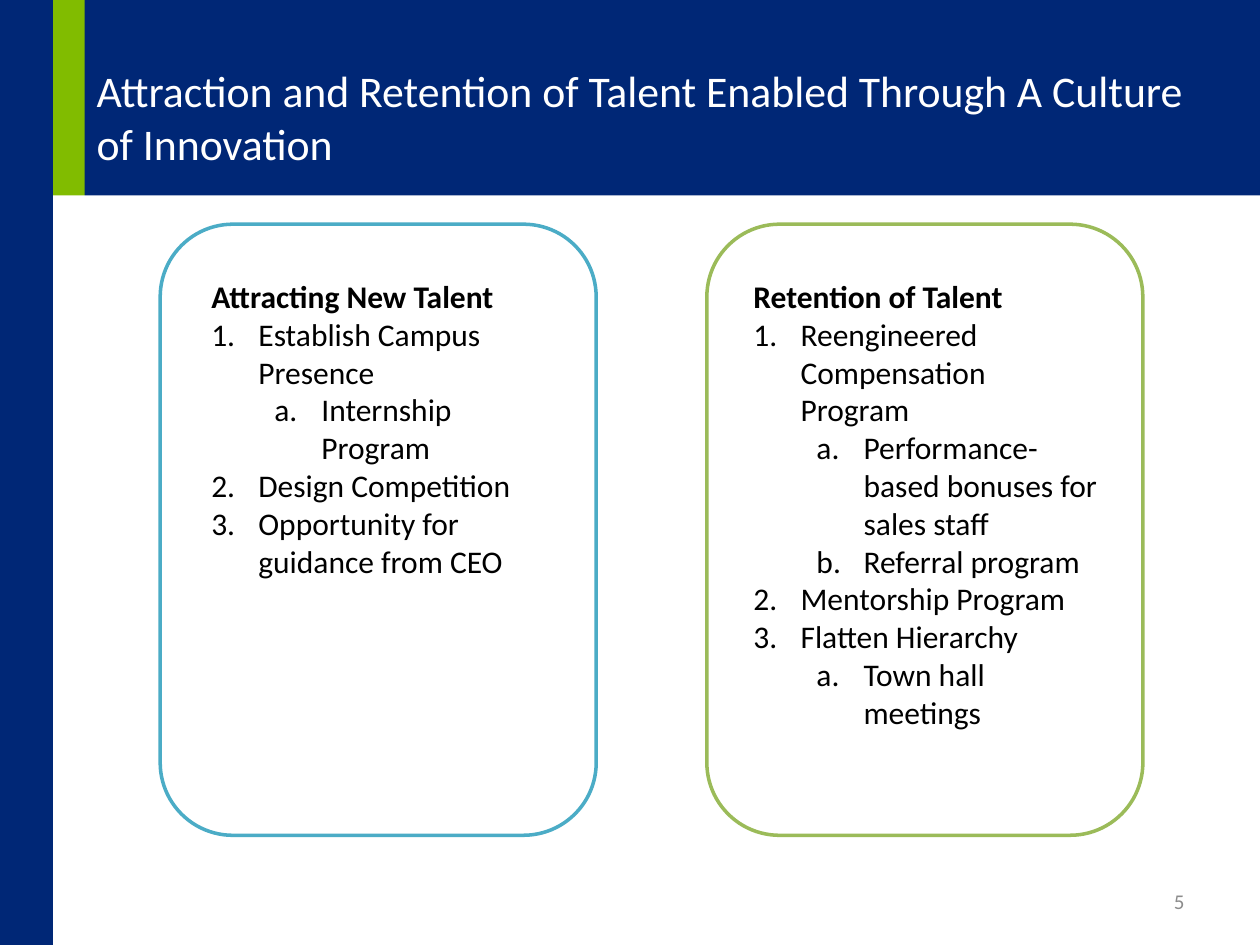
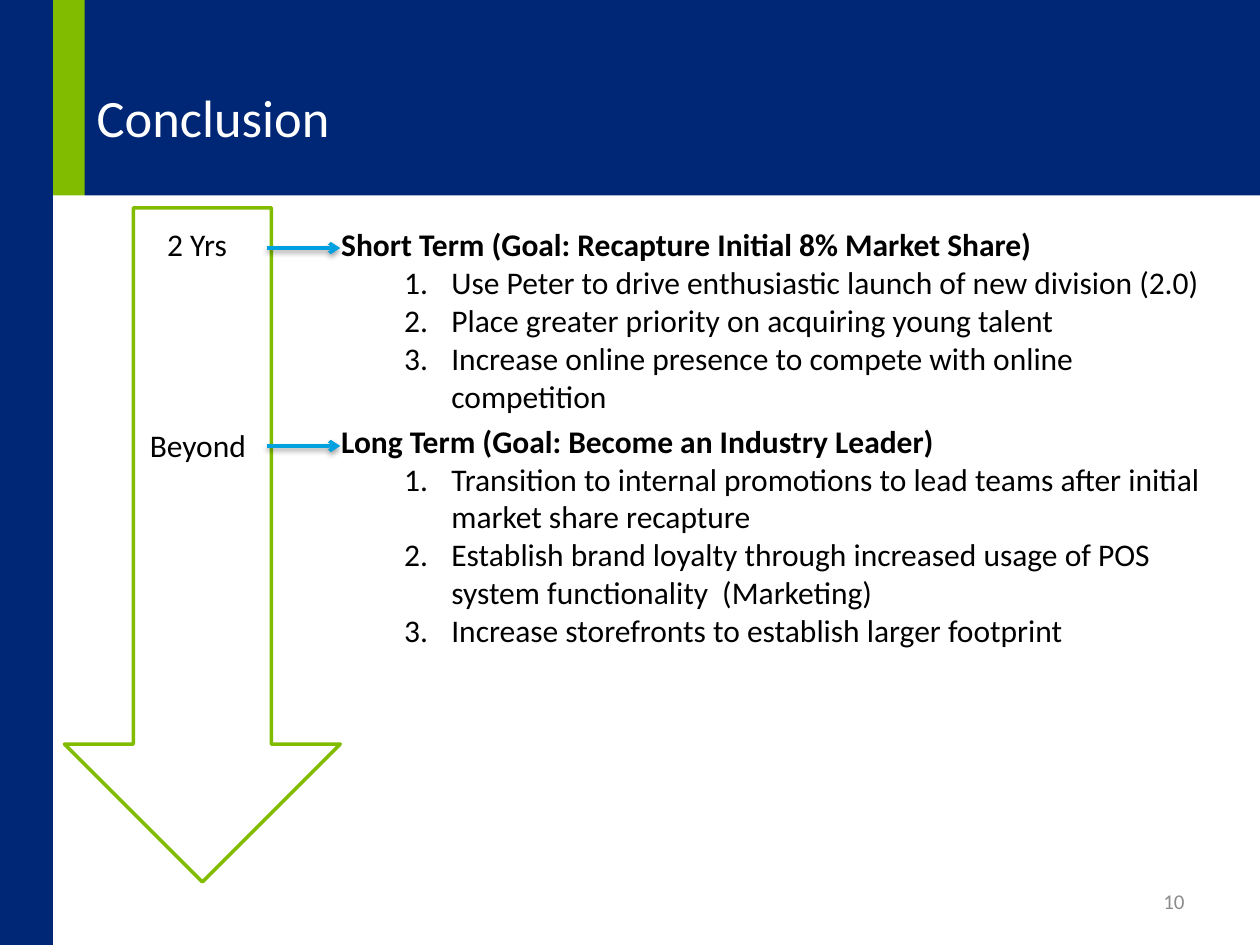
from lxml import etree
from pptx import Presentation
from pptx import util as u
from pptx.dml.color import RGBColor
from pptx.enum import shapes, text
from pptx.oxml import parse_xml
from pptx.oxml.ns import qn

Cm = u.Cm
hue = RGBColor.from_string
KIND = shapes.MSO_SHAPE
NAVY, GREEN, WHITE, BLACK = "002776", "81BC00", "FFFFFF", "000000"
GREY, SKY, TEAL, OLIVE = "8C8C8C", "00A1DE", "4BACC6", "9BBB59"
FONT = "Calibri"
MARKS = {"1": "arabicPeriod", "a": "alphaLcPeriod"}
HANG = 0.95
SHADE = (
    '<a:effectLst xmlns:a="http://schemas.openxmlformats.org/drawingml/2006/main">'
    '<a:outerShdw blurRad="40000" dist="20000" dir="5400000" rotWithShape="0">'
    '<a:srgbClr val="000000"><a:alpha val="38000"/></a:srgbClr>'
    '</a:outerShdw></a:effectLst>'
)


def draw(slide, kind, at, fill, edge=None):
    """Add a preset shape, placed in cm, with an optional 2 pt outline."""
    shape = slide.shapes.add_shape(kind, *map(Cm, at))
    shape.shadow.inherit = False
    shape.fill.solid()
    shape.fill.fore_color.rgb = hue(fill)
    if edge:
        shape.line.color.rgb = hue(edge)
        shape.line.width = u.Pt(2)
    else:
        shape.line.fill.background()


def write(slide, at, head, items=(), size=18, color=BLACK):
    """Add a text box: a head, bold if (level, mark, words) items follow it."""
    frame = slide.shapes.add_textbox(*map(Cm, at)).text_frame
    frame.word_wrap = True
    frame.text = head
    for level, mark, words in items:
        para = frame.add_paragraph()
        para.text = words
        para.level = level
        props = para._p.get_or_add_pPr()
        props.set("marL", str(Cm(HANG + 1.27 * level)))
        props.set("indent", str(-Cm(HANG)))
        etree.SubElement(props, qn("a:buFont"), typeface="+mj-lt")
        etree.SubElement(props, qn("a:buAutoNum"), type=MARKS[mark])
    for spot, para in enumerate(frame.paragraphs):
        for run in para.runs:
            run.font.name = FONT
            run.font.size = u.Pt(size)
            run.font.color.rgb = hue(color)
            run.font.bold = bool(items) and spot == 0
    return frame


deck = Presentation()
deck.slide_width, deck.slide_height = Cm(25.4), Cm(19.05)

# Title, title size, title width, page number
pages = [
    ("Attraction and Retention of Talent Enabled Through A Culture of Innovation",
     25, 23.11, "5"),
    ("Conclusion", 30, 22.43, "10"),
]
for title, size, width, number in pages:
    slide = deck.slides.add_slide(deck.slide_layouts[6])
    slide.background.fill.solid()
    slide.background.fill.fore_color.rgb = hue(NAVY)
    draw(slide, KIND.RECTANGLE, (1.07, 0, 0.64, 18.29), GREEN)
    draw(slide, KIND.RECTANGLE, (1.07, 3.94, 24.33, 15.11), WHITE)
    frame = write(slide, (1.7, 0.76, width, 3.18), title, size=size, color=WHITE)
    frame.vertical_anchor = text.MSO_ANCHOR.MIDDLE
    frame = write(slide, (18.21, 17.65, 5.92, 1.02), number, size=12, color=GREY)
    frame.vertical_anchor = text.MSO_ANCHOR.MIDDLE
    frame.paragraphs[0].alignment = text.PP_ALIGN.RIGHT

talent, close = deck.slides

# Talent: two cards with numbered lists
cards = [
    (3.23, 4.01, TEAL, "Attracting New Talent", [
        (0, "1", "Establish Campus Presence"),
        (1, "a", "Internship Program"),
        (0, "1", "Design Competition"),
        (0, "1", "Opportunity for guidance from CEO"),
    ]),
    (14.25, 14.94, OLIVE, "Retention of Talent", [
        (0, "1", "Reengineered Compensation Program"),
        (1, "a", "Performance-based bonuses for sales staff"),
        (1, "a", "Referral program"),
        (0, "1", "Mentorship Program"),
        (0, "1", "Flatten Hierarchy"),
        (1, "a", "Town hall meetings"),
    ]),
]
for left, inset, edge, head, items in cards:
    draw(talent, KIND.ROUNDED_RECTANGLE, (left, 4.52, 8.79, 12.32), WHITE, edge)
    write(talent, (inset, 5.46, 7.44, 9.5), head, items)

# Conclusion: a time arrow with one goal list per term
draw(close, KIND.DOWN_ARROW, (1.3, 4.19, 5.56, 13.59), WHITE, GREEN)
terms = [
    ("2 Yrs", (3.12, 4.42, 1.93, 1.02), 4.42, 5.0,
     "Short Term (Goal: Recapture Initial 8% Market Share)", [
         "Use Peter to drive enthusiastic launch of new division (2.0)",
         "Place greater priority on acquiring young talent",
         "Increase online presence to compete with online competition",
     ]),
    ("Beyond", (2.77, 8.46, 2.62, 1.02), 8.38, 8.99,
     "Long Term (Goal: Become an Industry Leader)", [
         "Transition to internal promotions to lead teams after initial "
         "market share recapture",
         "Establish brand loyalty through increased usage of POS system "
         "functionality  (Marketing)",
         "Increase storefronts to establish larger footprint",
     ]),
]
for label, place, top, mid, head, goals in terms:
    write(close, (6.63, top, 18.24, 5.64), head, [(1, "1", goal) for goal in goals])
    write(close, place, label)
    link = close.shapes.add_connector(
        shapes.MSO_CONNECTOR.STRAIGHT, Cm(5.38), Cm(mid), Cm(6.86), Cm(mid))
    link.line.color.rgb = hue(SKY)
    link.line.width = u.Pt(2)
    etree.SubElement(link.line._get_or_add_ln(), qn("a:tailEnd"), type="arrow")
    link._element.spPr.append(parse_xml(SHADE))

deck.save("out.pptx")
